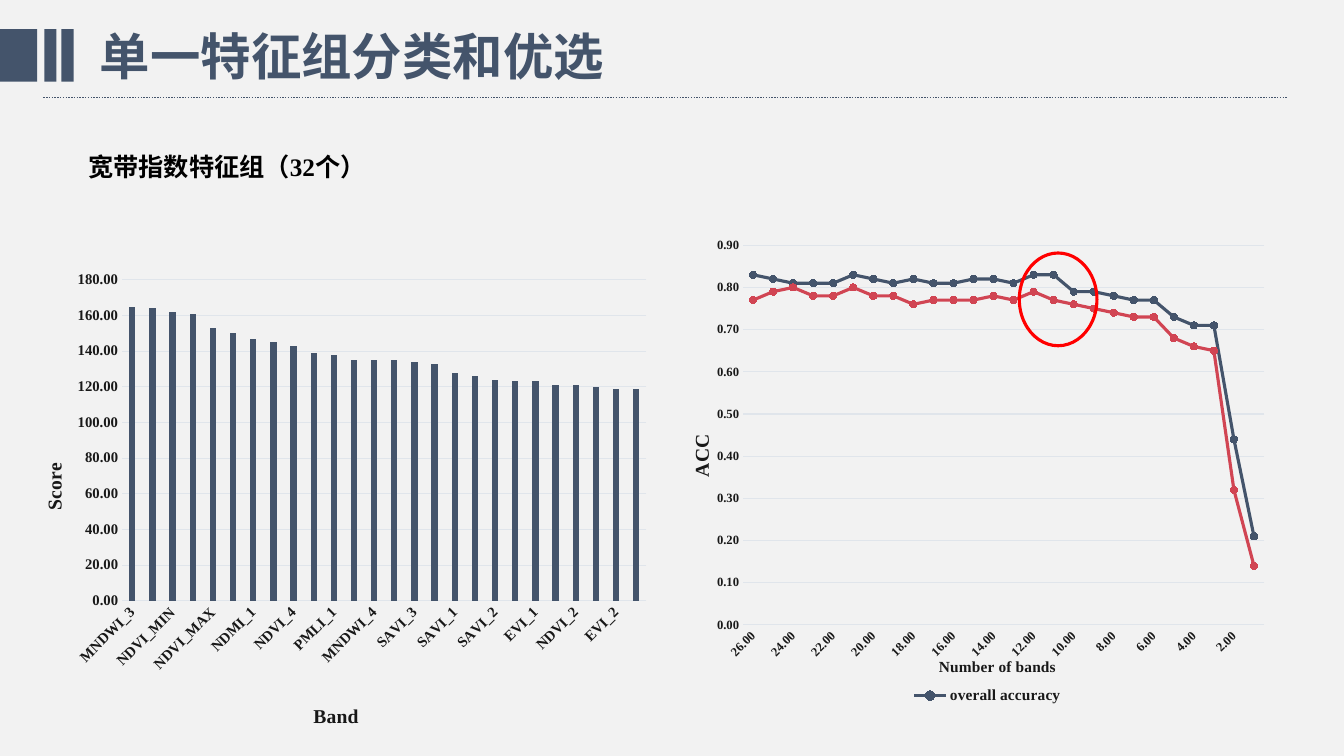
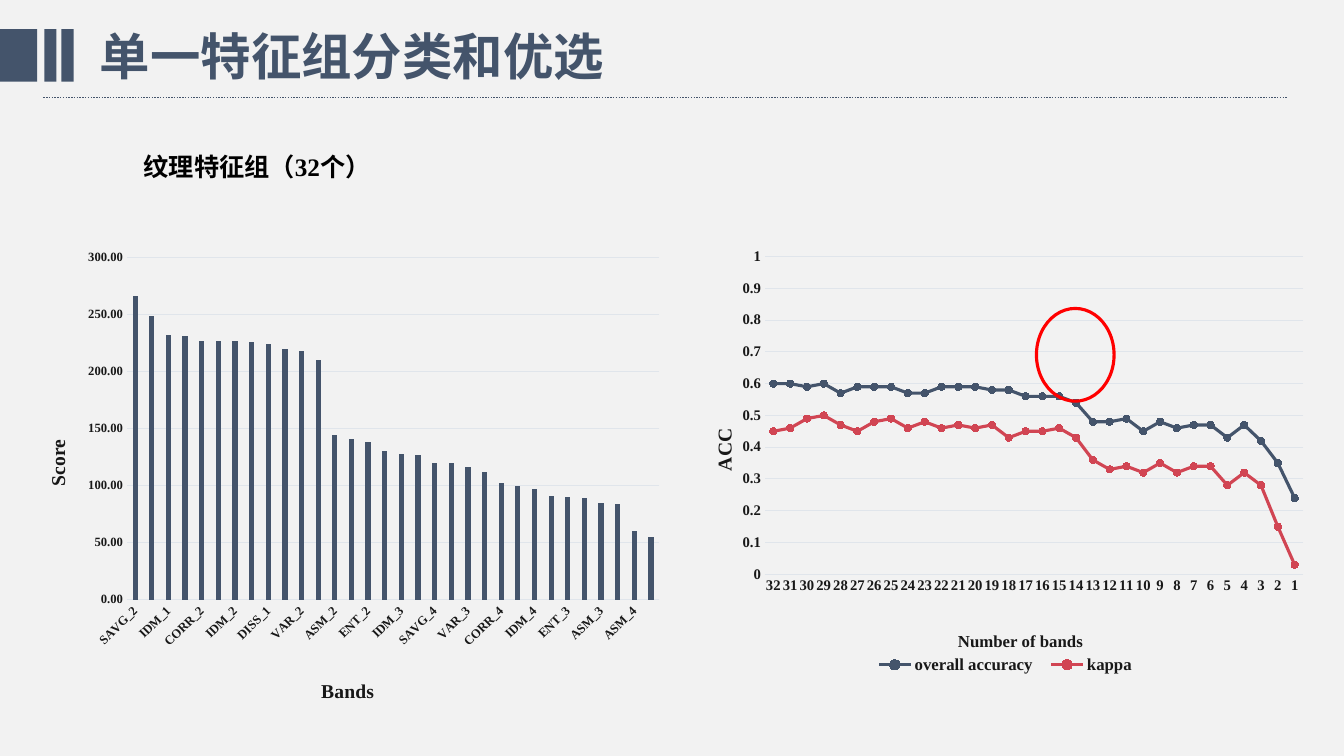
from lxml import etree
from pptx import Presentation
from pptx import util as u
from pptx.chart.data import CategoryChartData
from pptx.dml.color import RGBColor
from pptx.enum import chart as ce
from pptx.enum import dml, shapes, text
from pptx.oxml import parse_xml
from pptx.oxml.ns import nsdecls, qn

NAVY, RED, PAPER, INK, GRID = "44546B", "D14553", "F2F2F2", "181818", "E0E5EB"
BLACK, CIRCLE_RED = "000000", "FF0000"
SERIF, SANS = "Times New Roman", "Noto Sans CJK SC"
HEADLINE = "单一特征组分类和优选"
BANDS = [(0, 0.37), (0.44, 0.12), (0.61, 0.12)]
SMALL, MEDIUM, LARGE = 9, 10.5, 14
THIN, THICK = 0.75, 2.25
PLOT_TOP = 0.04
VALUE_TITLE_SPOT = (0.04, 0.42)
LEGEND_SPOT = (0.29, 0.94, 0.44, 0.05)
SCORES = {"kind": ce.XL_CHART_TYPE.COLUMN_CLUSTERED, "plot_left": 0.17,
          "title_spot": (0.46, 0.93), "value_title": "Score", "legend": False}
ACCURACY = {"kind": ce.XL_CHART_TYPE.LINE_MARKERS, "plot_left": 0.13,
            "title_spot": (0.43, 0.88), "value_title": "ACC", "legend": True}

SLIDES = [
    {
        "subhead": ("宽带指数特征组（32个）", 0.56, 3.38),
        "circle": (10.11, 2.51),
        "charts": [
            {**SCORES, "at": (0.12, 2.59, 6.42, 4.69), "plot_end": (0.98, 0.72),
             "title": ("Band", LARGE), "ticks": MEDIUM, "slant": True,
             "scale": (180, 20), "format": "0.00",
             "cats": ["MNDWI_3", "MNDWI_2", "NDVI_MIN", "MNDWI_1", "NDVI_MAX", "SAVI_4",
                      "NDMI_1", "PMLI_4", "NDVI_4", "NDMI_4", "PMLI_1", "PMLI_2", "MNDWI_4",
                      "EVI_3", "SAVI_3", "EVI_4", "SAVI_1", "PMLI_3", "SAVI_2", "NDMI_2",
                      "EVI_1", "NDVI_1", "NDVI_2", "NDMI_3", "EVI_2", "NDVI_3"],
             "series": [("Score", NAVY, [
                 165, 164, 162, 161, 153, 150, 147, 145, 143, 139, 138, 135, 135,
                 135, 134, 133, 128, 126, 124, 123, 123, 121, 121, 120, 119, 119])]},
            {**ACCURACY, "at": (6.54, 2.24, 6.38, 4.83), "plot_end": (0.94, 0.82),
             "title": ("Number of bands", 11), "ticks": SMALL, "slant": True,
             "scale": (0.9, 0.1), "format": "0.00",
             "cats": [f"{count}.00" for count in range(26, 0, -1)],
             "series": [
                 ("overall accuracy", NAVY, [
                     0.83, 0.82, 0.81, 0.81, 0.81, 0.83, 0.82, 0.81, 0.82, 0.81, 0.81, 0.82, 0.82,
                     0.81, 0.83, 0.83, 0.79, 0.79, 0.78, 0.77, 0.77, 0.73, 0.71, 0.71, 0.44, 0.21]),
                 ("kappa accuracy", RED, [
                     0.77, 0.79, 0.8, 0.78, 0.78, 0.8, 0.78, 0.78, 0.76, 0.77, 0.77, 0.77, 0.78,
                     0.77, 0.79, 0.77, 0.76, 0.75, 0.74, 0.73, 0.73, 0.68, 0.66, 0.65, 0.32, 0.14]),
             ]},
        ],
    },
    {
        "subhead": ("纹理特征组（32个）", 0.26, 4.58),
        "circle": (10.28, 3.06),
        "charts": [
            {**SCORES, "at": (0.15, 2.37, 6.52, 4.66), "plot_end": (0.98, 0.77),
             "title": ("Bands", LARGE), "ticks": SMALL, "slant": True,
             "scale": (300, 50), "format": "0.00",
             "cats": ["SAVG_2", "SAVG_1", "IDM_1", "CONTRAST_1", "CORR_2", "CONTRAST_2", "IDM_2",
                      "CORR_1", "DISS_1", "DISS_2", "VAR_2", "VAR_1", "ASM_2", "SAVG_3", "ENT_2",
                      "CORR_3", "IDM_3", "CONTRAST_3", "SAVG_4", "DISS_3", "VAR_3", "ENT_1",
                      "CORR_4", "ASM_1", "IDM_4", "DISS_4", "ENT_3", "CONTRAST_4", "ASM_3",
                      "VAR_4", "ASM_4", "ENT_4"],
             "series": [("Score", NAVY, [
                 266, 249, 232, 231, 227, 227, 227, 226, 224, 220, 218, 210, 144, 141, 138, 130,
                 128, 127, 120, 120, 116, 112, 102, 100, 97, 91, 90, 89, 85, 84, 60, 55])]},
            {**ACCURACY, "at": (6.77, 2.37, 6.28, 4.38), "plot_end": (0.98, 0.76),
             "title": ("Number of bands", 12), "ticks": MEDIUM, "slant": False,
             "scale": (1, 0.1), "format": "General",
             "cats": [str(count) for count in range(32, 0, -1)],
             "series": [
                 ("overall accuracy", NAVY, [
                     0.6, 0.6, 0.59, 0.6, 0.57, 0.59, 0.59, 0.59, 0.57, 0.57, 0.59, 0.59, 0.59,
                     0.58, 0.58, 0.56, 0.56, 0.56, 0.54, 0.48, 0.48, 0.49, 0.45, 0.48, 0.46, 0.47,
                     0.47, 0.43, 0.47, 0.42, 0.35, 0.24]),
                 ("kappa", RED, [
                     0.45, 0.46, 0.49, 0.5, 0.47, 0.45, 0.48, 0.49, 0.46, 0.48, 0.46, 0.47, 0.46,
                     0.47, 0.43, 0.45, 0.45, 0.46, 0.43, 0.36, 0.33, 0.34, 0.32, 0.35, 0.32, 0.34,
                     0.34, 0.28, 0.32, 0.28, 0.15, 0.03]),
             ]},
        ],
    },
]


def rgb(value):
    return RGBColor.from_string(value)


def inches(*values):
    return [u.Inches(value) for value in values]


def style_font(font, size, color, name=SERIF):
    font.size, font.bold, font.name = u.Pt(size), True, name
    font.color.rgb = rgb(color)


def style_line(line, color, width):
    line.color.rgb = rgb(color)
    line.width = u.Pt(width)


def style_fill(fill, color):
    fill.solid()
    fill.fore_color.rgb = rgb(color)


def write(shape, words, size, color, name, align, wrap):
    frame = shape.text_frame
    frame.word_wrap = wrap
    frame.auto_size = text.MSO_AUTO_SIZE.NONE
    frame.vertical_anchor = text.MSO_ANCHOR.TOP
    paragraph = frame.paragraphs[0]
    paragraph.alignment = align
    run = paragraph.add_run()
    run.text = words
    style_font(run.font, size, color, name)
    for properties in shape.element.xpath(".//a:r/a:rPr"):
        etree.SubElement(properties, qn("a:ea"), typeface=SANS)


def place(owner, index, spot, target=""):
    for old in owner.findall(qn("c:layout")):
        owner.remove(old)
    modes = '<c:xMode val="edge"/><c:yMode val="edge"/>'
    sizes = "".join(f'<c:{key} val="{value:.2f}"/>' for key, value in zip("xywh", spot))
    owner.insert(index, parse_xml(
        f'<c:layout {nsdecls("c")}><c:manualLayout>{target}{modes}{sizes}'
        "</c:manualLayout></c:layout>"))


def style_axis(axis, words, size, spot, tick_size, rotation):
    axis.major_tick_mark = axis.minor_tick_mark = ce.XL_TICK_MARK.NONE
    style_font(axis.tick_labels.font, tick_size, INK)
    run = axis.axis_title.text_frame.paragraphs[0].add_run()
    run.text = words
    style_font(run.font, size, INK)
    element = axis.axis_title.element
    element.find(".//" + qn("a:bodyPr")).set("rot", rotation)
    place(element, 1, spot)


def style_series(series, color):
    if series.format and not hasattr(series, "marker"):
        style_fill(series.format.fill, color)
        return
    series.smooth = False
    style_line(series.format.line, color, THICK)
    series.marker.style, series.marker.size = ce.XL_MARKER_STYLE.CIRCLE, 5
    style_fill(series.marker.format.fill, color)
    style_line(series.marker.format.line, color, THIN)


def add_chart(slide, info):
    data = CategoryChartData()
    data.categories = info["cats"]
    for name, _, values in info["series"]:
        data.add_series(name, values)
    chart = slide.shapes.add_chart(info["kind"], *inches(*info["at"]), data).chart
    chart.has_title = False
    style_font(chart.font, 10, INK)
    category, value = chart.category_axis, chart.value_axis
    words, size = info["title"]
    style_axis(category, words, size, info["title_spot"], info["ticks"], "0")
    style_axis(value, info["value_title"], LARGE, VALUE_TITLE_SPOT, info["ticks"], "-5400000")
    category.has_major_gridlines = False
    style_line(category.format.line, GRID, THIN)
    if info["slant"]:
        labels = chart.element.find(f'.//{qn("c:catAx")}/{qn("c:txPr")}/{qn("a:bodyPr")}')
        labels.set("rot", "-2700000")
    value.minimum_scale = 0
    value.maximum_scale, value.major_unit = info["scale"]
    value.tick_labels.number_format = info["format"]
    value.tick_labels.number_format_is_linked = False
    value.format.line.fill.background()
    style_line(value.major_gridlines.format.line, GRID, THIN)
    left, (right, bottom) = info["plot_left"], info["plot_end"]
    place(chart.element.find(".//" + qn("c:plotArea")), 0,
          (left, PLOT_TOP, right - left, bottom - PLOT_TOP), '<c:layoutTarget val="inner"/>')
    chart.has_legend = info["legend"]
    if chart.has_legend:
        chart.legend.position = ce.XL_LEGEND_POSITION.BOTTOM
        chart.legend.include_in_layout = False
        style_font(chart.legend.font, size, INK)
        place(chart.element.find(".//" + qn("c:legend")), 1, LEGEND_SPOT)
    plot = chart.plots[0]
    plot.vary_by_categories = False
    if info["kind"] == ce.XL_CHART_TYPE.COLUMN_CLUSTERED:
        plot.gap_width, plot.overlap = 219, -27
    for series, (_, color, _) in zip(plot.series, info["series"]):
        style_series(series, color)


def decorate_layout(layout, slide):
    title, *spare = layout.placeholders
    for placeholder in spare:
        placeholder.element.getparent().remove(placeholder.element)
    parts = []
    for left, width in BANDS:
        band = slide.shapes.add_shape(
            shapes.MSO_SHAPE.RECTANGLE, *inches(left, 0.29, width, 0.52))
        band.shadow.inherit = False
        style_fill(band.fill, NAVY)
        band.line.fill.background()
        parts.append(band)
    rule = slide.shapes.add_connector(
        shapes.MSO_CONNECTOR.STRAIGHT, *inches(0.43, 0.97, 12.76, 0.97))
    style_line(rule.line, NAVY, 1)
    rule.line.dash_style = dml.MSO_LINE.ROUND_DOT
    etree.SubElement(rule.element.spPr, qn("a:effectLst"))
    for part in parts + [rule]:
        title.element.addprevious(part.element)


def add_content(slide, content):
    title = slide.shapes.title
    title.left, title.top, title.width, title.height = inches(0.89, 0.2, 5.25, 0.71)
    write(title, HEADLINE, 36, NAVY, SANS, text.PP_ALIGN.LEFT, False)
    for info in content["charts"]:
        add_chart(slide, info)
    words, left, width = content["subhead"]
    subhead = slide.shapes.add_textbox(*inches(left, 1.45, width, 0.4))
    write(subhead, words, 18, BLACK, SERIF, text.PP_ALIGN.CENTER, True)
    circle = slide.shapes.add_shape(
        shapes.MSO_SHAPE.OVAL, *inches(*content["circle"], 0.77, 0.92))
    circle.shadow.inherit = False
    circle.fill.background()
    style_line(circle.line, CIRCLE_RED, THICK)


def main():
    deck = Presentation()
    deck.slide_width, deck.slide_height = inches(13.33, 7.5)
    style_fill(deck.slide_master.background.fill, PAPER)
    layout = deck.slide_layouts[5]
    slides = [deck.slides.add_slide(layout) for _ in SLIDES]
    decorate_layout(layout, slides[0])
    for slide, content in zip(slides, SLIDES):
        add_content(slide, content)
    deck.save("out.pptx")


if __name__ == "__main__":
    main()
